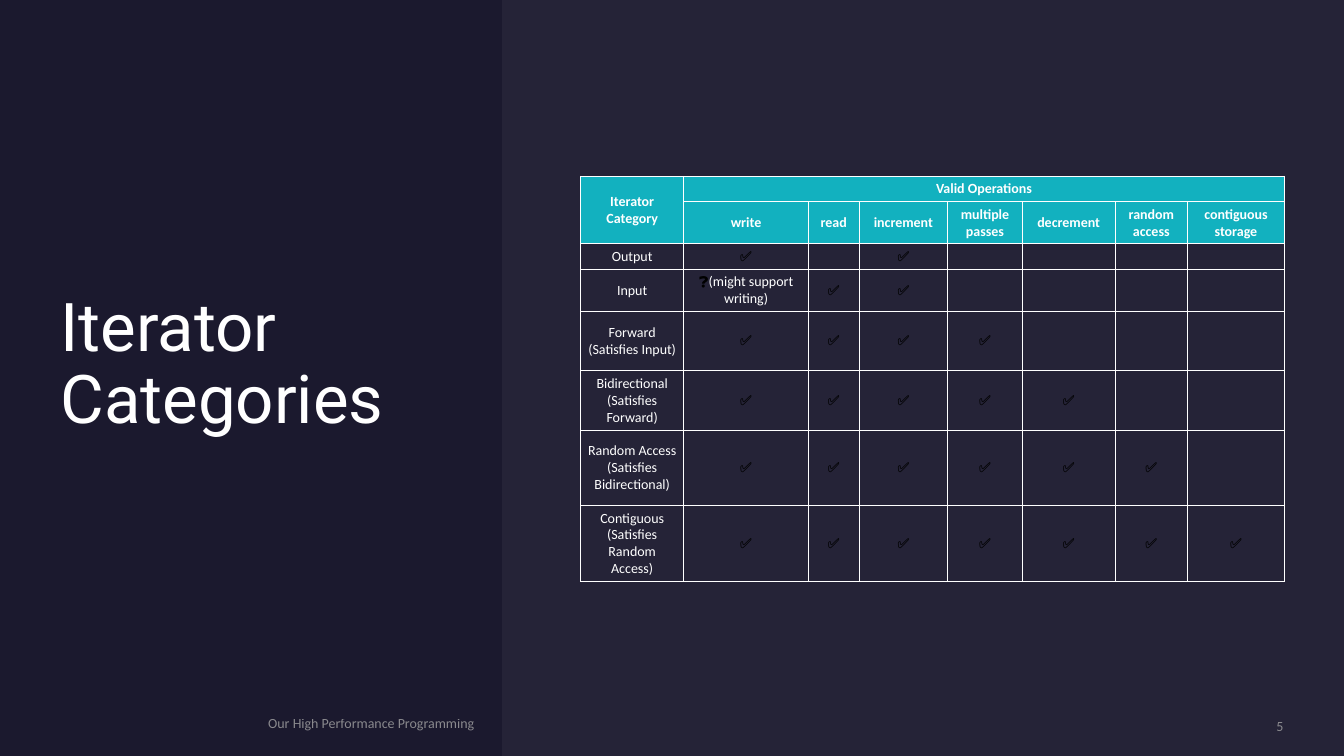
"""Build the slide on iterator categories and their valid operations."""
from lxml import etree
from pptx import Presentation
from pptx.dml.color import RGBColor
from pptx.enum.shapes import MSO_SHAPE
from pptx.enum.text import MSO_ANCHOR, PP_ALIGN
from pptx.oxml.ns import qn
from pptx.util import Inches, Pt

RECT = MSO_SHAPE.RECTANGLE
MIDDLE = MSO_ANCHOR.MIDDLE
LEFT, CENTER, RIGHT = PP_ALIGN.LEFT, PP_ALIGN.CENTER, PP_ALIGN.RIGHT
NAVY = RGBColor(0x1B, 0x19, 0x2E)
LAVENDER = RGBColor(0xE4, 0xE3, 0xF0)
TEAL = RGBColor(0x12, 0xB1, 0xBF)
WHITE = RGBColor(0xFF, 0xFF, 0xFF)
BLACK = RGBColor(0, 0, 0)
GREY = RGBColor(0xA6, 0xA6, 0xA6)
NO_STYLE = "{2D5ABB26-0587-4C30-8999-92F81FD0307C}"

OPERATIONS = ["write", "read", "increment", "multiple passes", "decrement",
              "random access", "contiguous storage"]
CATEGORIES = [
    ("Output", "✅ ✅    "),
    ("Input", "❓✅✅    "),
    ("Forward\n(Satisfies Input)", "✅✅✅✅   "),
    ("Bidirectional\n(Satisfies Forward)", "✅✅✅✅✅  "),
    ("Random Access\n(Satisfies Bidirectional)", "✅✅✅✅✅✅ "),
    ("Contiguous\n(Satisfies Random Access)", "✅✅✅✅✅✅✅"),
]
COL_WIDTHS = [1.02, 1.24, 0.5, 0.88, 0.74, 0.92, 0.72, 0.96]
ROW_HEIGHTS = [0.25, 0.42, 0.25, 0.42, 0.59, 0.59, 0.75, 0.75]


def write(p, text, size=10, font="Calibri", color=WHITE, bold=False, align=CENTER):
    p.alignment = align
    for i, line in enumerate(text.split("\n")):
        if i:
            p.add_line_break()
            etree.SubElement(p._p[-1], qn("a:rPr"), sz=str(size * 100))
        r = p.add_run()
        r.text = line
        r.font.size, r.font.name, r.font.bold = Pt(size), font, bold
        r.font.color.rgb = color


def set_alpha(element, percent):
    for color in element.iter(qn("a:srgbClr")):
        etree.SubElement(color, qn("a:alpha"), val=str(percent * 1000))


prs = Presentation()
prs.slide_width, prs.slide_height = Inches(13.33), Inches(7.5)
s = prs.slides.add_slide(prs.slide_layouts[6])
s.background.fill.solid()
s.background.fill.fore_color.rgb = NAVY

for left, width, color, alpha in [(0, 13.33, NAVY, 100), (4.98, 8.35, LAVENDER, 5)]:
    sp = s.shapes.add_shape(RECT, Inches(left), 0, Inches(width), Inches(7.5))
    sp.shadow.inherit = False
    sp.line.fill.background()
    sp.fill.solid()
    sp.fill.fore_color.rgb = color
    if alpha < 100:
        set_alpha(sp._element.spPr, alpha)

TEXTS = [
    ("Iterator Categories", (0.6, 0.6, 3.9, 6.06), 48, "Roboto", WHITE, LEFT),
    ("Our High Performance Programming", (2.66, 7.09, 6.98, 0.17), 10, "Calibri", GREY, LEFT),
    ("5", (10.88, 7.12, 1.85, 0.17), 10, "Calibri", GREY, RIGHT),
]
for text, box, size, font, color, align in TEXTS:
    sp = s.shapes.add_textbox(*[Inches(v) for v in box])
    tf = sp.text_frame
    tf.word_wrap = True
    tf.vertical_anchor = MIDDLE
    tf.margin_left = tf.margin_right = tf.margin_top = tf.margin_bottom = 0
    p = tf.paragraphs[0]
    write(p, text, size=size, font=font, color=color, align=align)
    if color == GREY:
        p.space_after = Pt(6)
        set_alpha(p._p, 80)
    else:
        p.line_spacing = 0.9

frame = s.shapes.add_table(len(ROW_HEIGHTS), len(COL_WIDTHS), Inches(5.76), Inches(1.75),
                           Inches(sum(COL_WIDTHS)), Inches(sum(ROW_HEIGHTS)))
table = frame.table
table.first_row = table.horz_banding = False
table._tbl.tblPr.find(qn("a:tableStyleId")).text = NO_STYLE
for column, width in zip(table.columns, COL_WIDTHS):
    column.width = Inches(width)
for row, height in zip(table.rows, ROW_HEIGHTS):
    row.height = Inches(height)
table.cell(0, 0).merge(table.cell(1, 0))
table.cell(0, 1).merge(table.cell(0, 7))

rows = [["Iterator Category", "Valid Operations"] + [" "] * 6, [" "] + OPERATIONS]
rows += [[name, *marks] for name, marks in CATEGORIES]
for i, values in enumerate(rows):
    for j, text in enumerate(values):
        cell = table.cell(i, j)
        cell.vertical_anchor = MIDDLE
        cell.margin_left = cell.margin_right = Inches(0.06)
        cell.margin_top = cell.margin_bottom = Inches(0.03)
        if i < 2:
            cell.fill.solid()
            cell.fill.fore_color.rgb = TEAL
        else:
            cell.fill.background()
        tcPr = cell._tc.get_or_add_tcPr()
        for k, side in enumerate(["a:lnL", "a:lnR", "a:lnT", "a:lnB"]):
            ln = etree.Element(qn(side), w=str(Pt(0.75)))
            fill = etree.SubElement(ln, qn("a:solidFill"))
            etree.SubElement(fill, qn("a:srgbClr"), val=str(WHITE))
            tcPr.insert(k, ln)
        p = cell.text_frame.paragraphs[0]
        if text == " ":
            etree.SubElement(p._p, qn("a:endParaRPr"), sz="1000")
        else:
            write(p, text, color=BLACK if text in "✅❓" else WHITE, bold=i < 2)
        if text == "❓":
            write(p, "(might support writing)")

prs.save("out.pptx")
